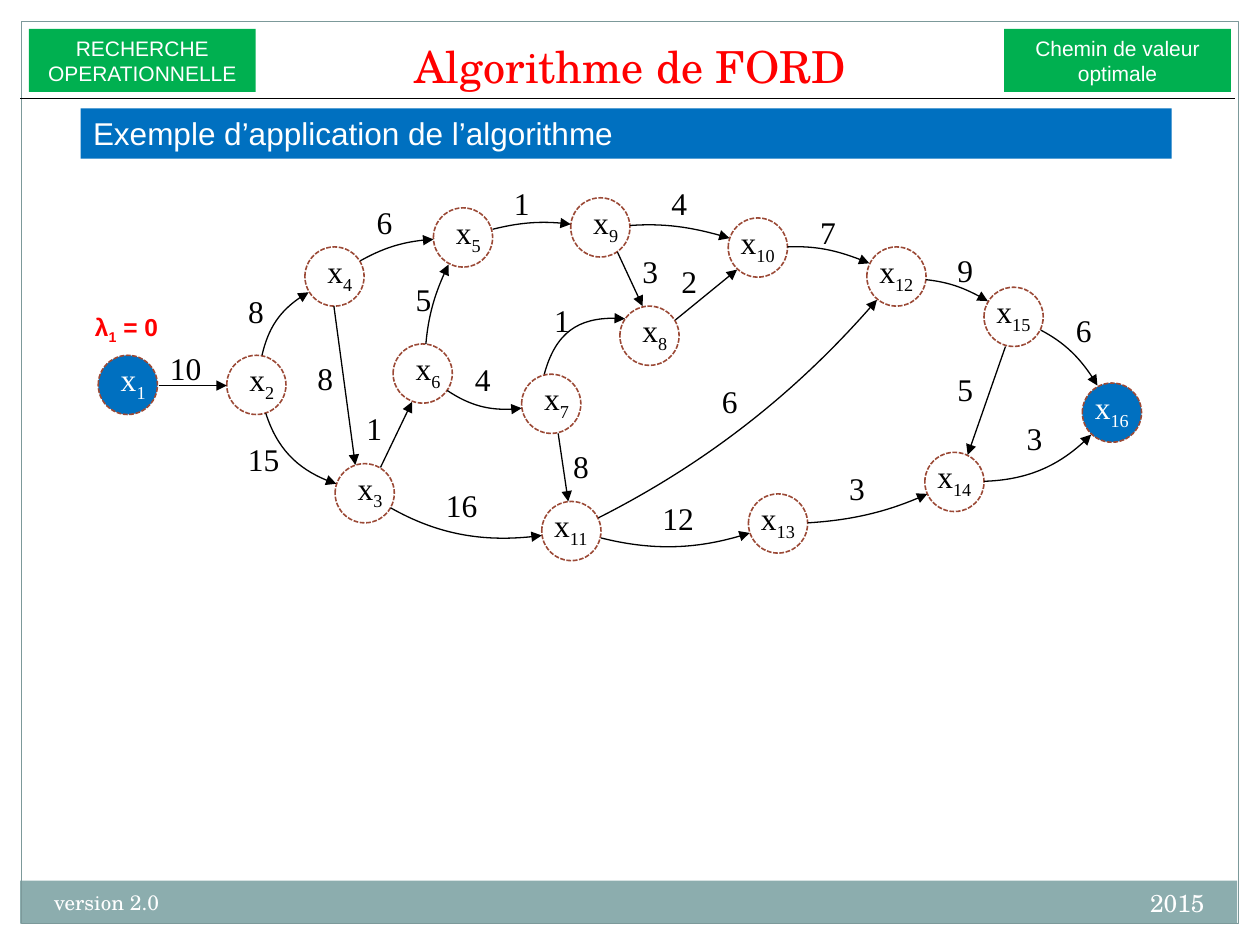
"""Build the Ford algorithm slide with its weighted graph."""
import math
from dataclasses import dataclass

from lxml import etree
from pptx import Presentation
from pptx import util as u
from pptx.dml.color import RGBColor
from pptx.enum import dml, shapes, text
from pptx.oxml.ns import qn

SCALE = 9144
SIZE, REACH = 47, 24
SERIF, SANS, TIMES = "TeX Gyre Schola", "Arial", "Times New Roman"
BLACK, WHITE, RED = "000000", "FFFFFF", "FF0000"
BLUE, GREEN, RUST = "0070C0", "00B050", "9B4936"
RECT, OVAL = shapes.MSO_SHAPE.RECTANGLE, shapes.MSO_SHAPE.OVAL
LEFT, MID, RIGHT = text.PP_ALIGN.LEFT, text.PP_ALIGN.CENTER, text.PP_ALIGN.RIGHT


@dataclass(frozen=True)
class Style:
    """Font settings of a text."""
    size: float
    font: str
    hue: str
    align: text.PP_ALIGN = LEFT
    bold: bool = False


@dataclass(frozen=True)
class Node:
    """A vertex of the graph, by its left and top."""
    x: int
    y: int
    fill: str = ""


@dataclass(frozen=True)
class Edge:
    """An arc from tail to head, turned by degrees, with its cost and label place."""
    tail: int
    head: int
    cost: int
    turn: int
    x: int
    y: int


NODES = [
    Node(78, 282, BLUE), Node(180, 282), Node(266, 368), Node(242, 196),
    Node(344, 165), Node(312, 273), Node(414, 297), Node(492, 243),
    Node(453, 157), Node(578, 173), Node(430, 398), Node(688, 196),
    Node(594, 392), Node(734, 359), Node(781, 228), Node(859, 304, BLUE),
]

EDGES = [
    Edge(1, 2, 10, 0, 125, 272), Edge(2, 4, 8, -24, 187, 227),
    Edge(2, 3, 15, 27, 187, 344), Edge(4, 5, 6, -14, 289, 156),
    Edge(3, 11, 16, 19, 344, 381), Edge(3, 6, 1, 5, 281, 320),
    Edge(4, 3, 8, 10, 242, 280), Edge(5, 9, 1, -11, 398, 141),
    Edge(6, 5, 5, -11, 320, 217), Edge(6, 7, 4, 21, 367, 281),
    Edge(7, 11, 8, -4, 445, 350), Edge(7, 8, 1, -69, 430, 234),
    Edge(8, 10, 2, 8, 531, 203), Edge(9, 8, 3, -10, 500, 195),
    Edge(9, 10, 4, -11, 523, 141), Edge(10, 12, 7, -13, 641, 164),
    Edge(12, 15, 9, -12, 750, 194), Edge(15, 16, 6, -17, 844, 242),
    Edge(11, 13, 12, 16, 516, 391), Edge(11, 12, 6, 11, 563, 298),
    Edge(13, 14, 3, 11, 664, 367), Edge(14, 16, 3, 22, 805, 328),
    Edge(15, 14, 5, -5, 750, 289),
]


def px(*nums: int) -> list:
    """Turn px into EMU."""
    return [u.Emu(n * SCALE) for n in nums]


def rgb(code: str) -> RGBColor:
    """Turn a hex string into a colour."""
    return RGBColor.from_string(code)


def write(shape, words: str, style: Style) -> None:
    """Write lines of text; underscores switch subscript on and off."""
    frame = shape.text_frame
    frame.word_wrap = True
    frame.vertical_anchor = text.MSO_ANCHOR.TOP
    for row, line in enumerate(words.split("\n")):
        para = frame.add_paragraph() if row else frame.paragraphs[0]
        para.alignment = style.align
        for spot, part in enumerate(line.split("_")):
            run = para.add_run()
            run.text = part
            font = run.font
            font.size, font.name, font.bold = u.Pt(style.size), style.font, style.bold
            font.color.rgb = rgb(style.hue)
            if spot % 2:
                run._r.get_or_add_rPr().set("baseline", "-25000")


def box(parent, kind, at: tuple, fill: str = "", line: str = "", width: float = 0.75):
    """Add a preset shape with optional fill and line."""
    shape = parent.add_shape(kind, *px(*at))
    shape.shadow.inherit = False
    if fill:
        shape.fill.solid()
        shape.fill.fore_color.rgb = rgb(fill)
    else:
        shape.fill.background()
    if line:
        shape.line.color.rgb = rgb(line)
        shape.line.width = u.Pt(width)
    else:
        shape.line.fill.background()
    return shape


def label(parent, at: tuple, words: str, style: Style):
    """Add a text box."""
    shape = parent.add_textbox(*px(*at))
    write(shape, words, style)
    return shape


def ink(shape, arrow: bool = True) -> None:
    """Give a line its black stroke and arrowhead."""
    shape.line.color.rgb = rgb(BLACK)
    shape.line.width = u.Pt(0.75)
    if arrow:
        etree.SubElement(shape.line._get_or_add_ln(), qn("a:tailEnd"), type="triangle")


def rule(parent, start: tuple, end: tuple, arrow: bool = True) -> None:
    """Draw a straight line."""
    line = parent.add_connector(shapes.MSO_CONNECTOR.STRAIGHT, *px(*start, *end))
    ink(line, arrow)
    etree.SubElement(line._element.spPr, qn("a:effectLst"))


def curve(parent, start: tuple, end: tuple, turn: int) -> None:
    """Draw an arrow that bows sideways by an angle."""
    wide, high = end[0] - start[0], end[1] - start[1]
    bow = math.tan(math.radians(max(-40, min(40, turn)))) / 2
    peak = ((start[0] + end[0]) / 2 - high * bow, (start[1] + end[1]) / 2 + wide * bow)
    pulls = [tuple(round((a + 2 * b) / 3) for a, b in zip(tip, peak)) for tip in (start, end)]
    pen = parent.build_freeform(*start, scale=SCALE)
    pen.add_line_segments([*pulls, end], close=False)
    shape = pen.convert_to_shape()
    shape.shadow.inherit = False
    shape.fill.background()
    ink(shape)
    first, *rest = list(shape._element.iter(qn("a:lnTo")))
    first.tag = qn("a:cubicBezTo")
    for step in rest:
        first.append(step[0])
        step.getparent().remove(step)


def rim(node: Node, angle: float) -> tuple:
    """Find the point beside a node at an angle."""
    half = SIZE / 2
    return (round(node.x + half + REACH * math.cos(angle)),
            round(node.y + half + REACH * math.sin(angle)))


def join(parent, edge: Edge) -> None:
    """Draw an arc and its cost."""
    tail, head = NODES[edge.tail - 1], NODES[edge.head - 1]
    way, turn = math.atan2(head.y - tail.y, head.x - tail.x), math.radians(edge.turn)
    start, end = rim(tail, way + turn), rim(head, way + math.pi - turn)
    if abs(edge.turn) > 10:
        curve(parent, start, end, edge.turn)
    else:
        rule(parent, start, end)
    wide = 47 if edge.cost > 9 else 31
    label(parent, (edge.x, edge.y, wide, 40), str(edge.cost), Style(18, TIMES, BLACK))


def vertex(parent, num: int, node: Node) -> None:
    """Draw a dashed circle grouped with its name."""
    group = parent.add_group_shape().shapes
    ring = box(group, OVAL, (node.x, node.y, SIZE, SIZE), node.fill, RUST, 0.9)
    ring.line.dash_style = dml.MSO_LINE.SQUARE_DOT
    shift = 8 if num < 10 else 0
    style = Style(18, TIMES, WHITE if node.fill else BLACK)
    label(group, (node.x + shift, node.y - 1, 55, 40), f"x_{num}", style)


def main() -> None:
    """Build and save the slide."""
    deck = Presentation()
    deck.slide_width, deck.slide_height = px(1000, 750)
    tree = deck.slides.add_slide(deck.slide_layouts[5]).shapes
    box(tree, RECT, (16, 699, 966, 34), "8CADAE")
    box(tree, RECT, (17, 17, 966, 716), line="7C999A")
    label(tree, (633, 700, 333, 40), "2015", Style(14, SERIF, WHITE, RIGHT))
    label(tree, (33, 701, 392, 40), "version 2.0", Style(12, SERIF, WHITE))
    title = tree.title
    title.left, title.top, title.width, title.height = px(211, 25, 578, 53)
    write(title, "Algorithme de FORD", Style(25.2, SERIF, RED, MID))
    title.text_frame.vertical_anchor = text.MSO_ANCHOR.BOTTOM
    for x, words in ((23, "RECHERCHE\nOPERATIONNELLE"), (797, "Chemin de valeur\noptimale")):
        write(box(tree, RECT, (x, 23, 180, 50), GREEN), words, Style(12, SANS, WHITE, MID))
    rule(tree, (16, 78), (980, 78), arrow=False)
    for num, node in enumerate(NODES, 1):
        vertex(tree, num, node)
    for edge in EDGES:
        join(tree, edge)
    banner = box(tree, RECT, (64, 86, 866, 40), BLUE)
    write(banner, "Exemple d’application de l’algorithme", Style(18, SANS, WHITE))
    start = label(tree, (60, 244, 81, 34), "λ_1_ = 0", Style(14, SANS, RED, MID, True))
    frame = start.text_frame
    frame.vertical_anchor = text.MSO_ANCHOR.MIDDLE
    frame.margin_left, frame.margin_right = px(4, 4)
    deck.save("out.pptx")


if __name__ == "__main__":
    main()
